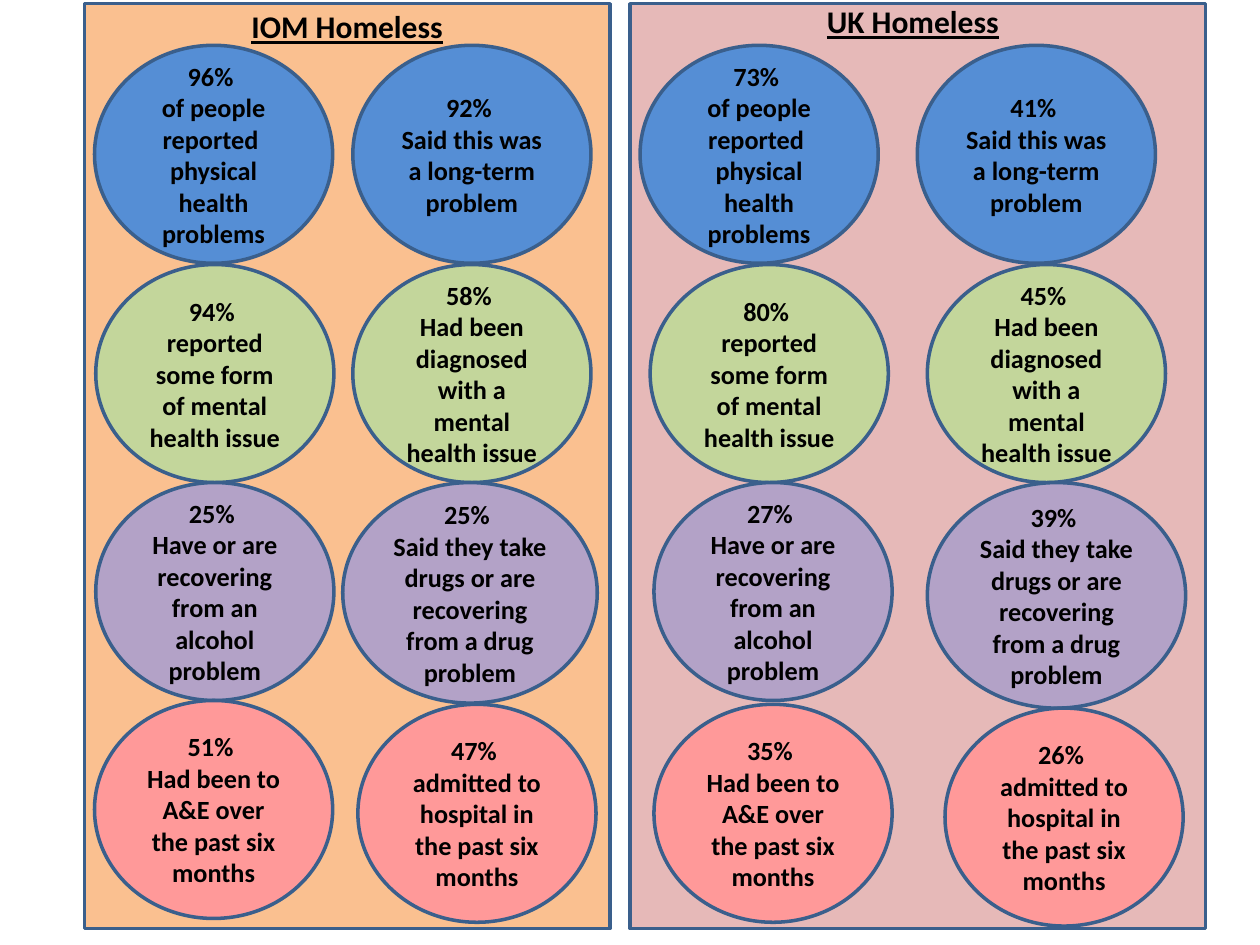
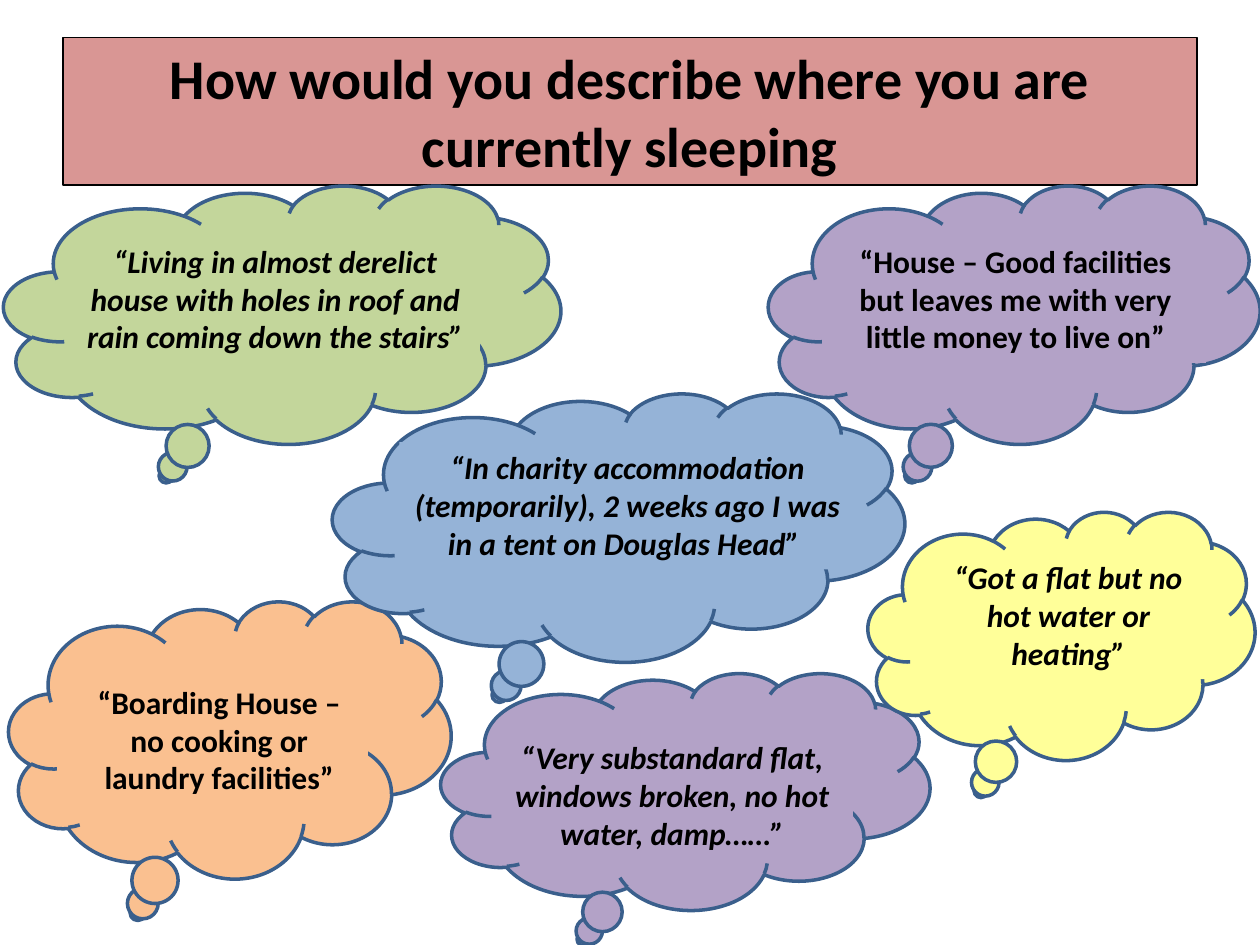
from pptx import Presentation
from pptx.dml.color import RGBColor
from pptx.enum.shapes import MSO_SHAPE
from pptx.enum.text import MSO_ANCHOR, PP_ALIGN
from pptx.util import Emu, Pt

PX = 9144  # 100 px to the inch
COLORS = {
    "text": "000000", "outline": "3A5F8C",
    "orange": "FAC090", "pink": "E6B9B8", "rose": "D99694",
    "blue": "558ED5", "sky": "95B3D7", "green": "C3D69B",
    "purple": "B3A2C7", "red": "FF9999", "yellow": "FFFF99",
}


class Deck:
    """Shared style and the slide being drawn."""

    font = "Calibri"

    def __init__(self):
        self.prs = Presentation()
        self.prs.slide_width = Emu(1000 * PX)
        self.prs.slide_height = Emu(750 * PX)

    def new_slide(self):
        self.slide = self.prs.slides.add_slide(self.prs.slide_layouts[6])

    def shape(self, kind, box, fill, line="outline", width=2):
        sp = self.slide.shapes.add_shape(kind, *(Emu(v * PX) for v in box))
        sp.shadow.inherit = False
        sp.fill.solid()
        sp.fill.fore_color.rgb = RGBColor.from_string(COLORS[fill])
        if line:
            sp.line.color.rgb = RGBColor.from_string(COLORS[line])
            sp.line.width = Pt(width)
        else:
            sp.line.fill.background()
        return sp

    def set_text(self, sp, text, size, anchor=MSO_ANCHOR.TOP, italic=False, underline=False):
        tf = sp.text_frame
        tf.word_wrap = True
        tf.vertical_anchor = anchor
        tf.text = text
        for p in tf.paragraphs:
            p.alignment = PP_ALIGN.CENTER
            for r in p.runs:
                r.font.name = self.font
                r.font.size = Pt(size)
                r.font.bold = True
                r.font.italic = italic
                r.font.underline = underline
                r.font.color.rgb = RGBColor.from_string(COLORS["text"])

    def panel(self, box, fill):
        self.shape(MSO_SHAPE.RECTANGLE, box, fill)

    def heading(self, box, text):
        sp = self.slide.shapes.add_textbox(*(Emu(v * PX) for v in box))
        self.set_text(sp, text, 18, underline=True)

    def banner(self, box, text):
        sp = self.shape(MSO_SHAPE.RECTANGLE, box, "rose", "text", 0.75)
        self.set_text(sp, text, 32)

    def bubble(self, box, fill, text):
        sp = self.shape(MSO_SHAPE.OVAL, box, fill)
        self.set_text(sp, text, 15, MSO_ANCHOR.MIDDLE)

    def thought(self, cloud, label, fill, text, italic):
        self.shape(MSO_SHAPE.CLOUD_CALLOUT, cloud, fill)
        sp = self.shape(MSO_SHAPE.RECTANGLE, label, fill, None)
        self.set_text(sp, text, 18, italic=italic)


# Each row of bubbles: colour, left statement, right statement
TOPICS = [
    ("blue", "of people reported \nphysical health problems",
     "Said this was a long-term problem"),
    ("green", "reported some form of mental health issue",
     "Had been diagnosed with a mental health issue"),
    ("purple", "Have or are recovering from an alcohol problem",
     "Said they take drugs or are recovering from a drug problem"),
    ("red", "Had been to A&E over the past six months",
     "admitted to hospital in the past six months"),
]
BUBBLE = (189, 173)

# Each group: panel, heading, then (percent, left, top[, size]) pairs by topic
GROUPS = [
    ((67, 3, 417, 734), "orange", (67, 1, 417, 101), "IOM Homeless", [
        ((96, 75, 36), (92, 280, 36)),
        ((94, 76, 210), (58, 280, 210)),
        ((25, 76, 383), (25, 272, 383, 202, 175)),
        ((51, 75, 556), (47, 284, 559)),
    ]),
    ((500, 3, 457, 734), "pink", (516, -3, 417, 101), "UK Homeless", [
        ((73, 508, 36), (41, 728, 36)),
        ((80, 516, 210), (45, 736, 210)),
        ((27, 519, 383), (39, 736, 383, 205, 179)),
        ((35, 519, 559), (26, 750, 562)),
    ]),
]

# Cloud, label, colour, quote, italic
QUOTES = [
    ((610, 147, 390, 205), (655, 187, 302, 101), "purple",
     "“House – Good facilities but leaves me with very little money to live on”", False),
    ((7, 477, 351, 220), (56, 537, 236, 101), "orange",
     "“Boarding House – no cooking or laundry facilities”", False),
    ((3, 147, 442, 205), (56, 187, 325, 101), "green",
     "“Living in almost derelict house with holes in roof and rain coming down the stairs”",
     True),
    ((350, 534, 388, 188), (390, 581, 287, 101), "purple",
     "“Very substandard flat, windows broken, no hot water, damp……”", True),
    ((689, 406, 307, 197), (730, 438, 236, 101), "yellow",
     "“Got a flat but no hot water or heating”", True),
    ((264, 312, 454, 213), (317, 351, 362, 101), "sky",
     "“In charity accommodation (temporarily), 2 weeks ago I was in a tent on Douglas Head” ",
     True),
]


def main():
    deck = Deck()

    # Health of homeless people, two groups side by side
    deck.new_slide()
    for panel, fill, heading_box, heading, rows in GROUPS:
        deck.panel(panel, fill)
        deck.heading(heading_box, heading)
        for (color, *statements), row in zip(TOPICS, rows):
            for statement, (percent, left, top, *size) in zip(statements, row):
                box = (left, top, *(size or BUBBLE))
                deck.bubble(box, color, f"{percent}% \n{statement}")

    # Quotes on sleeping places
    deck.new_slide()
    deck.banner((50, 30, 900, 117), "How would you describe where you are currently sleeping")
    for quote in QUOTES:
        deck.thought(*quote)

    deck.prs.save("out.pptx")


if __name__ == "__main__":
    main()
